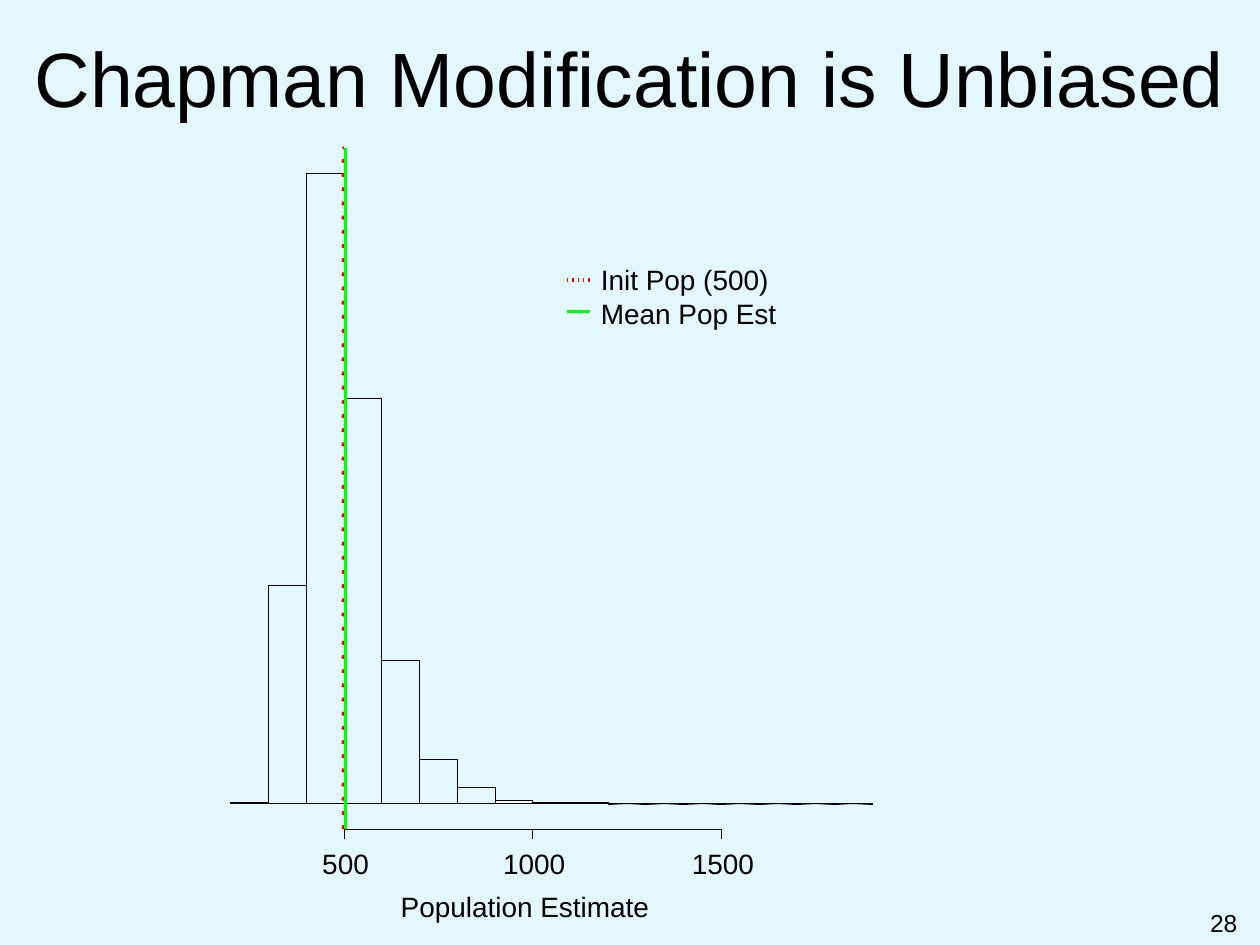
from dataclasses import dataclass

from lxml import etree
from pptx import Presentation
from pptx.dml.color import RGBColor
from pptx.enum.shapes import MSO_CONNECTOR, MSO_SHAPE
from pptx.enum.text import MSO_ANCHOR, PP_ALIGN
from pptx.oxml.ns import qn
from pptx.util import Pt

STRAIGHT = MSO_CONNECTOR.STRAIGHT
RECTANGLE = MSO_SHAPE.RECTANGLE
TOP, MIDDLE = MSO_ANCHOR.TOP, MSO_ANCHOR.MIDDLE
LEFT, CENTER, RIGHT = PP_ALIGN.LEFT, PP_ALIGN.CENTER, PP_ALIGN.RIGHT


@dataclass(frozen=True)
class Theme:
    font: str = "Arial"
    background: RGBColor = RGBColor(0xE2, 0xF7, 0xFE)
    ink: RGBColor = RGBColor(0, 0, 0)
    initial: RGBColor = RGBColor(0xFF, 0, 0)
    mean: RGBColor = RGBColor(0, 0xFF, 0)
    title_size: int = 44
    label_size: int = 16
    number_size: int = 14
    hairline: float = 0.25
    marker: int = 2


THEME = Theme()

# Bar heights in points, one for each 100-wide class from 200 to 1900
BAR_HEIGHTS = [1, 125, 360, 231.8, 82, 25.2, 9.4, 2.2, 1, 1] + [0] * 7
FIRST_CLASS, CLASS_WIDTH = 200, 100
TICKS = [500, 1000, 1500]
TICK_LABEL_WIDTH = 44
DASH_STEP = 8.1


def add_text(page, box, text, size, align=LEFT, anchor=TOP, inset=None):
    """Place one line of text; inset None keeps the usual margins."""
    text_box = page.shapes.add_textbox(*map(Pt, box))
    frame = text_box.text_frame
    frame.word_wrap = True
    frame.vertical_anchor = anchor
    if inset is not None:
        frame.margin_left = frame.margin_right = Pt(inset)
        frame.margin_top = frame.margin_bottom = Pt(inset)
    para = frame.paragraphs[0]
    para.alignment = align
    span = para.add_run()
    span.text = text
    span.font.name = THEME.font
    span.font.size = Pt(size)
    span.font.color.rgb = THEME.ink


def add_label(page, left, top, width, text, align=LEFT):
    add_text(page, (left, top, width, 19.4), text, THEME.label_size, align, inset=0)


def add_line(page, x1, y1, x2, y2, color, width):
    line = page.shapes.add_connector(STRAIGHT, Pt(x1), Pt(y1), Pt(x2), Pt(y2))
    line.line.color.rgb = color
    line.line.width = Pt(width)
    etree.SubElement(line._element.spPr, qn("a:effectLst"))


def add_bars(page, left, baseline, bar_width):
    for index, height in enumerate(BAR_HEIGHTS):
        bar = page.shapes.add_shape(RECTANGLE, Pt(left + index * bar_width),
                                    Pt(baseline - height), Pt(bar_width), Pt(height))
        bar.shadow.inherit = False
        bar.fill.background()
        bar.line.color.rgb = THEME.ink
        bar.line.width = Pt(THEME.hairline)


def add_histogram(page, box):
    """Draw bars, axis and the two vertical markers; the axis is the box's bottom."""
    left, top, width, height = box
    bottom = top + height
    bar_width = width / len(BAR_HEIGHTS)

    def x_of(value):
        return left + (value - FIRST_CLASS) / CLASS_WIDTH * bar_width

    add_label(page, left + 97.2, bottom + 34.8, 150, "Population Estimate")
    add_line(page, x_of(TICKS[0]), bottom, x_of(TICKS[-1]), bottom,
             THEME.ink, THEME.hairline)
    for value in TICKS:
        x = x_of(value)
        add_line(page, x, bottom, x, bottom + 5.8, THEME.ink, THEME.hairline)
        add_label(page, x - TICK_LABEL_WIDTH / 2 + 1, bottom + 10,
                  TICK_LABEL_WIDTH, str(value), CENTER)

    add_bars(page, left, bottom - 14.4, bar_width)

    x = x_of(500)
    for index in range(int(height / DASH_STEP) + 1):
        y = bottom - index * DASH_STEP
        add_line(page, x - 0.5, y, x + 0.2, max(y - 2, top), THEME.initial, THEME.marker)
    add_line(page, x + 1, bottom, x + 1, top, THEME.mean, THEME.marker)


def add_legend(page, box):
    left, top, width, height = box
    key_width, text_left, row = 13, 19.4, height / 2
    for index in range(5):
        x = left + index * 3.05
        add_line(page, x, top + 10.1, x + 0.8, top + 10.1, THEME.initial, THEME.marker)
    add_line(page, left, top + 28.1, left + key_width, top + 28.1,
             THEME.mean, THEME.marker)
    for index, text in enumerate(["Init Pop (500)", "Mean Pop Est"]):
        add_label(page, left + text_left, top + index * row, width - text_left, text)


def main():
    deck = Presentation()
    deck.slide_width, deck.slide_height = Pt(720), Pt(540)
    page = deck.slides.add_slide(deck.slide_layouts[6])
    page.background.fill.solid()
    page.background.fill.fore_color.rgb = THEME.background

    add_text(page, (666, 515.5, 48.2, 24.5), "28", THEME.number_size, RIGHT)
    add_text(page, (5, 8.4, 710, 71), "Chapman Modification is Unbiased",
             THEME.title_size, CENTER, MIDDLE)
    add_histogram(page, (131.8, 84.4, 366.5, 389.3))
    add_legend(page, (324, 149.8, 126, 38.8))
    deck.save("out.pptx")


if __name__ == "__main__":
    main()
